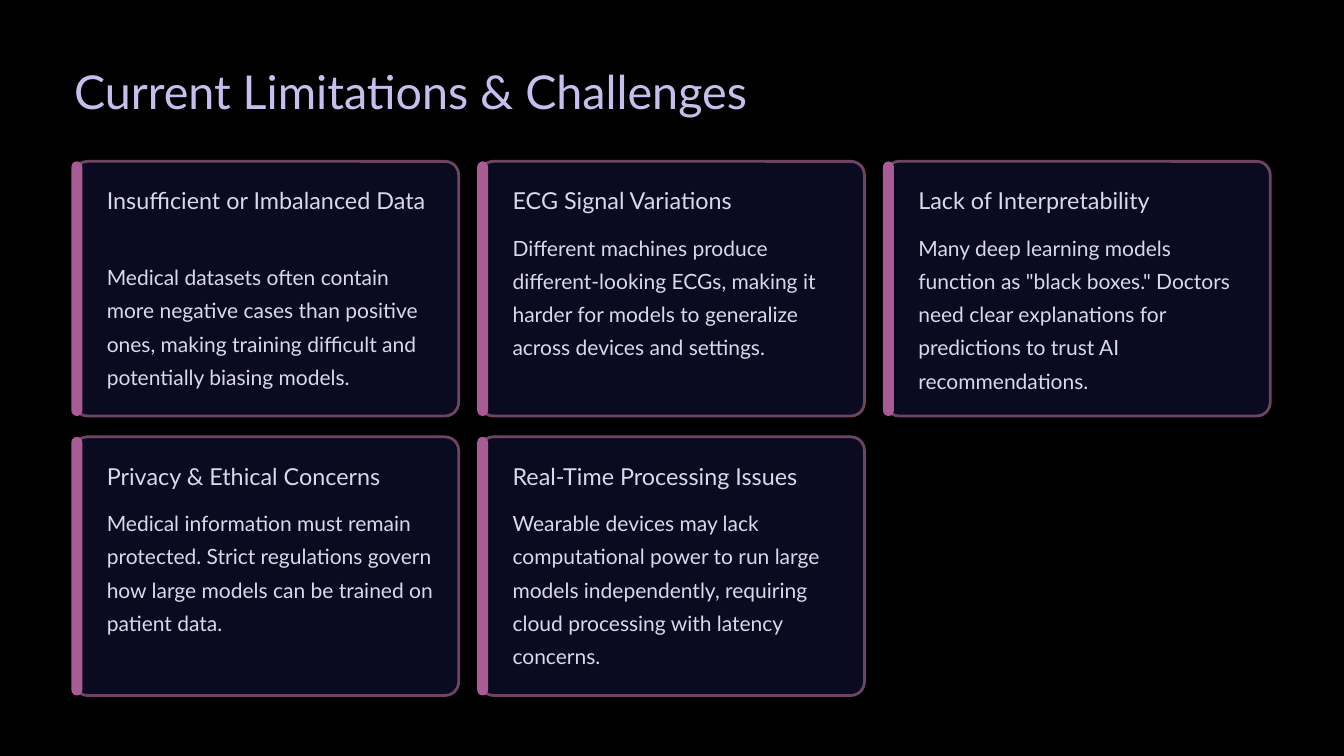
from lxml.etree import SubElement
from pptx import Presentation
from pptx.dml.color import RGBColor
from pptx.enum.shapes import MSO_SHAPE
from pptx.oxml.ns import qn
from pptx.util import Cm, Pt

BLACK = RGBColor(0x00, 0x00, 0x00)
LAVENDER = RGBColor(0xC6, 0xBF, 0xEE)
PALE = RGBColor(0xDA, 0xD8, 0xE9)
NAVY = RGBColor(0x0B, 0x0C, 0x23)
PLUM = RGBColor(0x6D, 0x45, 0x62)
PINK = RGBColor(0xA9, 0x5B, 0x95)

prs = Presentation()
prs.slide_width, prs.slide_height = Cm(40.64), Cm(22.86)
slide = prs.slides.add_slide(prs.slide_layouts[6])
slide.background.fill.solid()
slide.background.fill.fore_color.rgb = BLACK


def add_text(text, left, top, width, height, size, spacing, color, wrap=True):
    frame = slide.shapes.add_textbox(Cm(left), Cm(top), Cm(width), Cm(height)).text_frame
    frame.margin_left = frame.margin_right = frame.margin_top = frame.margin_bottom = 0
    frame.word_wrap = wrap
    frame.text = text
    paragraph = frame.paragraphs[0]
    paragraph.line_spacing = Pt(spacing)
    font = paragraph.runs[0].font
    font.name, font.size, font.color.rgb = "Lato", Pt(size), color


def add_rounded(left, top, width, height, radius, color):
    shape = slide.shapes.add_shape(
        MSO_SHAPE.ROUNDED_RECTANGLE, Cm(left), Cm(top), Cm(width), Cm(height))
    shape.adjustments[0] = radius / min(width, height)
    shape.shadow.inherit = False
    shape.fill.solid()
    shape.fill.fore_color.rgb = color
    return shape


# Title
add_text("Current Limitations & Challenges", 2.24, 1.83, 22.96, 1.78, 40, 50, LAVENDER, wrap=False)

# Challenges: heading, heading width, heading lines, description, description height
challenges = [
    ("Insufficient or Imbalanced Data", 9.93, 2,
     "Medical datasets often contain more negative cases than positive ones, "
     "making training difficult and potentially biasing models.", 4.09),
    ("ECG Signal Variations", 7.39, 1,
     "Different machines produce different-looking ECGs, making it harder for "
     "models to generalize across devices and settings.", 4.09),
    ("Lack of Interpretability", 7.92, 1,
     "Many deep learning models function as \"black boxes.\" Doctors need clear "
     "explanations for predictions to trust AI recommendations.", 4.09),
    ("Privacy & Ethical Concerns", 9.32, 1,
     "Medical information must remain protected. Strict regulations govern how "
     "large models can be trained on patient data.", 4.09),
    ("Real-Time Processing Issues", 9.73, 1,
     "Wearable devices may lack computational power to run large models "
     "independently, requiring cloud processing with latency concerns.", 5.11),
]

# Card grid
COLUMNS = 3
COLUMN_PITCH, ROW_PITCH = 12.27, 8.33
CARD_HEIGHTS = [7.7, 7.82]
HEADING_LINE = 0.89

for index, (heading, heading_width, lines, description, description_height) in enumerate(challenges):
    row, column = divmod(index, COLUMNS)
    left = 2.24 + column * COLUMN_PITCH
    top = 4.88 + row * ROW_PITCH
    height = CARD_HEIGHTS[row]

    # Card with translucent fill and accent bar
    card = add_rounded(left, top, 11.63, height, 0.41, NAVY)
    card.line.color.rgb = PLUM
    card.line.width = Pt(2.4)
    fill_color = card.fill._xPr.find(qn("a:solidFill"))[0]
    SubElement(fill_color, qn("a:alpha"), val="95000")
    accent = add_rounded(left - 0.08, top, 0.33, height, 0.26, PINK)
    accent.line.fill.background()

    # Heading and description
    text_left, heading_top = left + 0.99, top + 0.72
    add_text(heading, text_left, heading_top, heading_width, lines * HEADING_LINE,
             20, 25, PALE, wrap=lines > 1)
    add_text(description, text_left, heading_top + lines * HEADING_LINE + 0.38,
             9.93, description_height, 18, 28.5, PALE)

prs.save("out.pptx")
